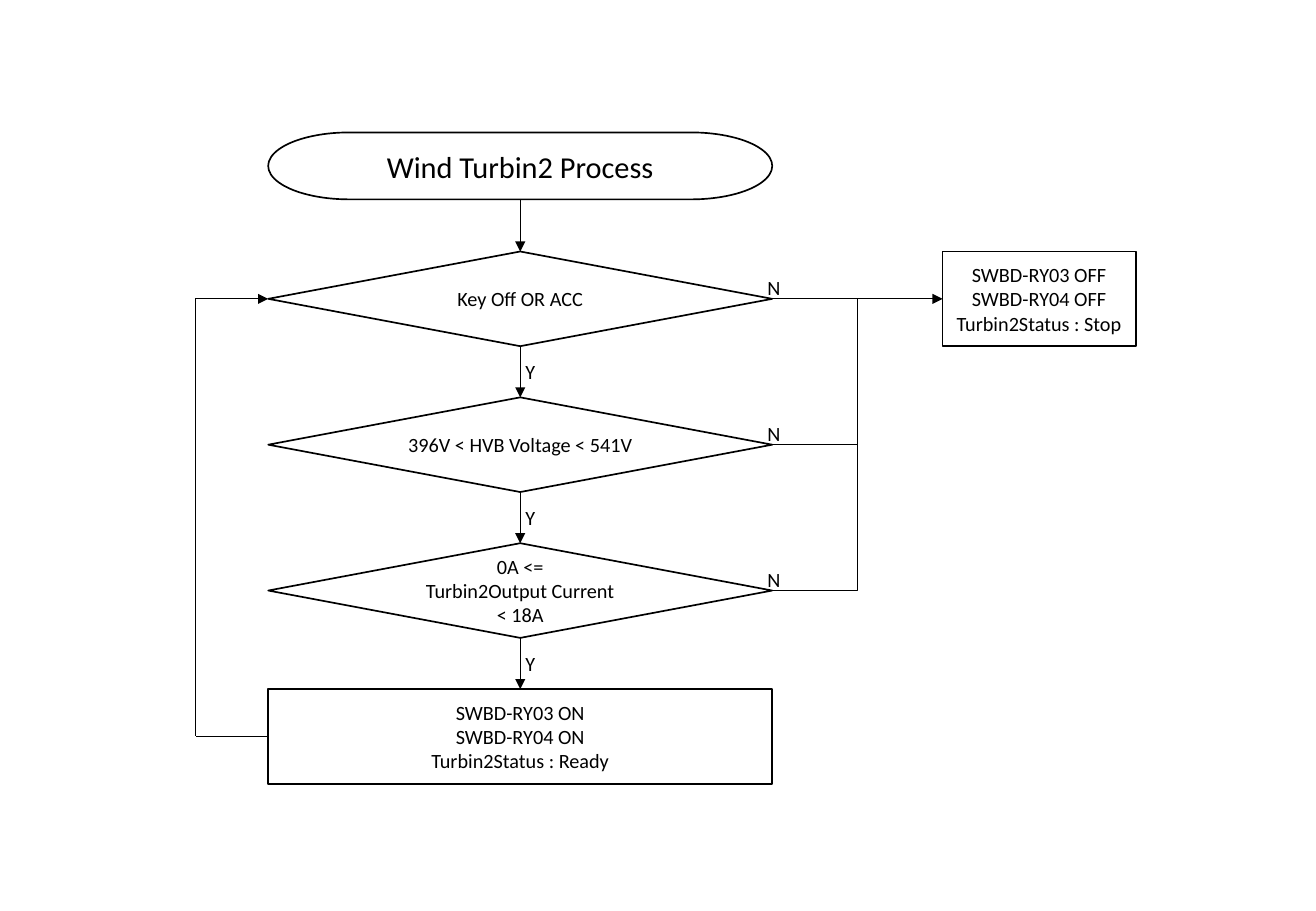
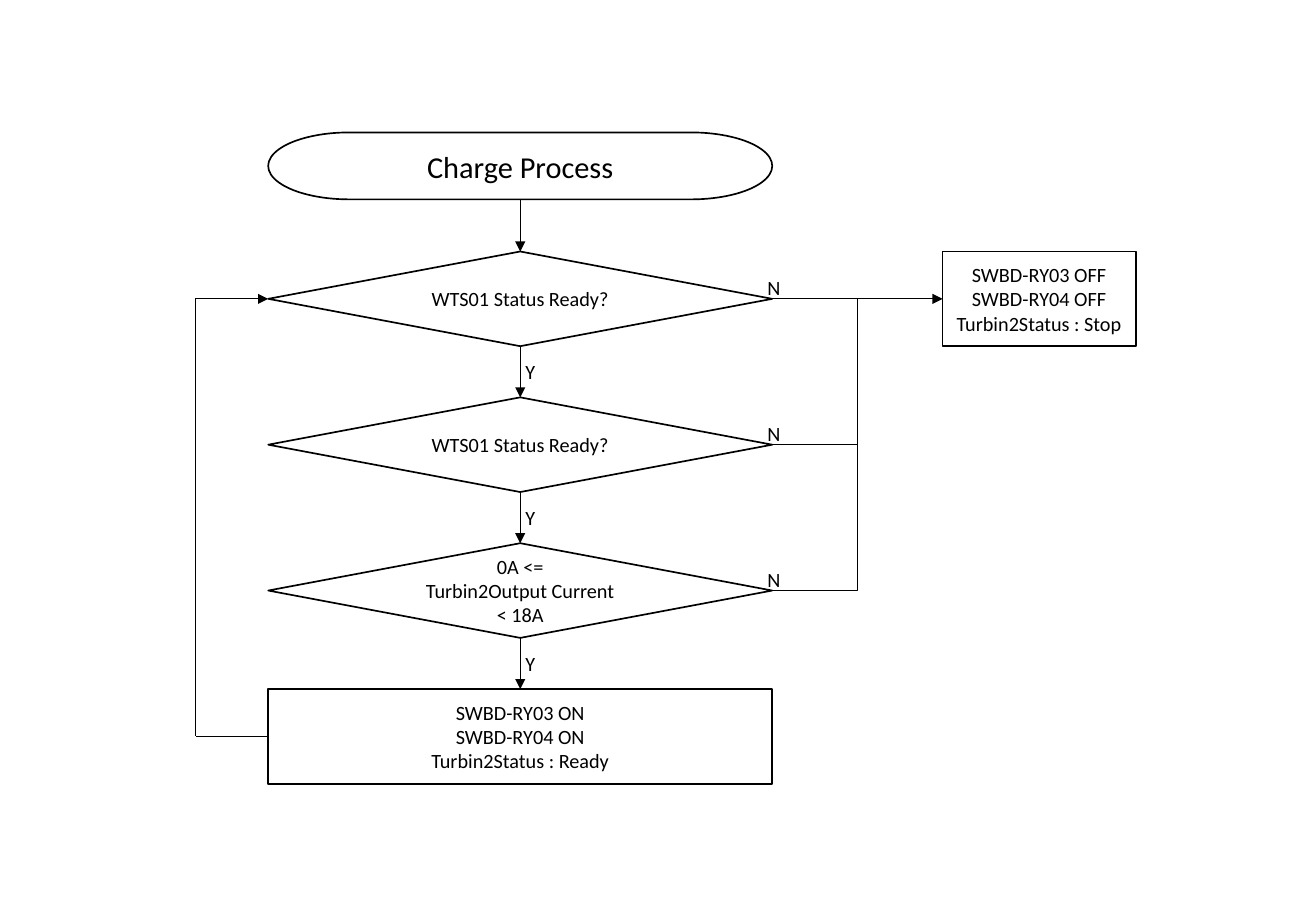
"""Builds two process flowcharts that share one layout."""
from lxml import etree
from pptx import Presentation
from pptx.dml.color import RGBColor
from pptx.enum import shapes, text
from pptx.oxml import ns
from pptx.util import Cm, Pt

BLACK = RGBColor(0, 0, 0)
WHITE = RGBColor(255, 255, 255)
FONT = "Calibri"
KIND = shapes.MSO_SHAPE
LINK = shapes.MSO_CONNECTOR

LEFT, WIDTH = 5.61, 10.54
RIGHT = LEFT + WIDTH
TOP, HIGH, PITCH = 5.26, 1.98, 3.05
START_TOP, START_HIGH = 2.77, 1.4
STOP_LEFT, STOP_WIDTH = 19.71, 4.04
LOOP_X, FAIL_X = 4.09, 17.93
SITE_TOP, SITE_LEFT, SITE_BOTTOM, SITE_RIGHT = range(4)

LIMIT = "0A <=\nTurbin2Output Current\n< 18A"
READY = "SWBD-RY03 ON\nSWBD-RY04 ON\nTurbin2Status : Ready"
STOP = "SWBD-RY03 OFF\nSWBD-RY04 OFF\nTurbin2Status : Stop"
CHARTS = [
    ("Wind Turbin2 Process",
     ["Key Off OR ACC", "396V < HVB Voltage < 541V", LIMIT]),
    ("Charge Process",
     ["WTS01 Status Ready?", "WTS01 Status Ready?", LIMIT]),
]


def row_top(row):
    """Return the top of a flowchart row in centimetres."""
    return TOP + row * PITCH


def row_mid(row):
    """Return the middle of a flowchart row in centimetres."""
    return row_top(row) + HIGH / 2


def write(frame, words, size, align):
    """Fill a text frame and format all its runs."""
    frame.text = words
    for para in frame.paragraphs:
        para.alignment = align
        for run in para.runs:
            run.font.name = FONT
            run.font.size = Pt(size)
            run.font.color.rgb = BLACK


def add_node(slide, kind, words, left, top, width, high=HIGH, size=12):
    """Add an outlined flowchart shape with centred text."""
    node = slide.shapes.add_shape(kind, Cm(left), Cm(top), Cm(width), Cm(high))
    node.shadow.inherit = False
    node.fill.solid()
    node.fill.fore_color.rgb = WHITE
    node.line.color.rgb = BLACK
    node.line.width = Pt(1)
    node.text_frame.vertical_anchor = text.MSO_ANCHOR.MIDDLE
    write(node.text_frame, words, size, text.PP_ALIGN.CENTER)
    return node


def add_label(slide, words, left, top):
    """Add a one-letter branch label."""
    box = slide.shapes.add_textbox(Cm(left), Cm(top), Cm(0.75), Cm(0.77))
    box.text_frame.word_wrap = False
    box.text_frame.auto_size = text.MSO_AUTO_SIZE.SHAPE_TO_FIT_TEXT
    write(box.text_frame, words, 12, text.PP_ALIGN.LEFT)


def add_line(slide, x1, y1, x2, y2, kind=LINK.STRAIGHT, arrow=None):
    """Add a thin line, with an arrow at headEnd or tailEnd if named."""
    line = slide.shapes.add_connector(kind, Cm(x1), Cm(y1), Cm(x2), Cm(y2))
    line.line.color.rgb = BLACK
    line.line.width = Pt(0.5)
    if arrow:
        end = etree.SubElement(line.line._get_or_add_ln(), ns.qn("a:" + arrow))
        end.set("type", "triangle")
    etree.SubElement(line._element.spPr, ns.qn("a:effectLst"))
    return line


def add_bend(slide, x1, y1, x2, y2, arrow=None):
    """Add a line that runs sideways and then turns once."""
    bend = add_line(slide, x1, y1, x2, y2, LINK.ELBOW, arrow)
    bend._element.spPr.find(ns.qn("a:prstGeom")).set("prst", "bentConnector2")


def join(slide, first, site1, second, site2):
    """Join two nodes with a straight arrow."""
    line = add_line(slide, 0, 0, 0, 0, arrow="tailEnd")
    line.begin_connect(first, site1)
    line.end_connect(second, site2)


def add_chart(slide, title, checks):
    """Draw one flowchart with its checks, results and branches."""
    last = len(checks)
    start = add_node(slide, KIND.FLOWCHART_TERMINATOR, title,
                     LEFT, START_TOP, WIDTH, START_HIGH, 18)
    tests = [add_node(slide, KIND.FLOWCHART_DECISION, check,
                      LEFT, row_top(row), WIDTH)
             for row, check in enumerate(checks)]
    ready = add_node(slide, KIND.FLOWCHART_PROCESS, READY,
                     LEFT, row_top(last), WIDTH)
    stop = add_node(slide, KIND.FLOWCHART_PROCESS, STOP,
                    STOP_LEFT, TOP, STOP_WIDTH)

    steps = [start, *tests, ready]
    for upper, lower in zip(steps, steps[1:]):
        join(slide, upper, SITE_BOTTOM, lower, SITE_TOP)
    join(slide, tests[0], SITE_RIGHT, stop, SITE_LEFT)

    for row in range(1, last - 1):
        add_line(slide, RIGHT, row_mid(row), FAIL_X, row_mid(row))
    add_bend(slide, RIGHT, row_mid(last - 1), FAIL_X, row_mid(0))
    add_line(slide, LEFT, row_mid(last), LOOP_X, row_mid(last))
    add_bend(slide, LEFT, row_mid(0), LOOP_X, row_mid(last), "headEnd")

    for row in range(last):
        add_label(slide, "Y", 10.74, row_top(row) + HIGH + 0.15)
        add_label(slide, "N", 15.8, row_top(row) + 0.38)


def main():
    """Build and save the presentation."""
    deck = Presentation()
    deck.slide_width, deck.slide_height = Cm(27.52), Cm(19.05)
    blank = deck.slide_layouts.get_by_name("Blank")
    for title, checks in CHARTS:
        add_chart(deck.slides.add_slide(blank), title, checks)
    deck.save("out.pptx")


if __name__ == "__main__":
    main()
